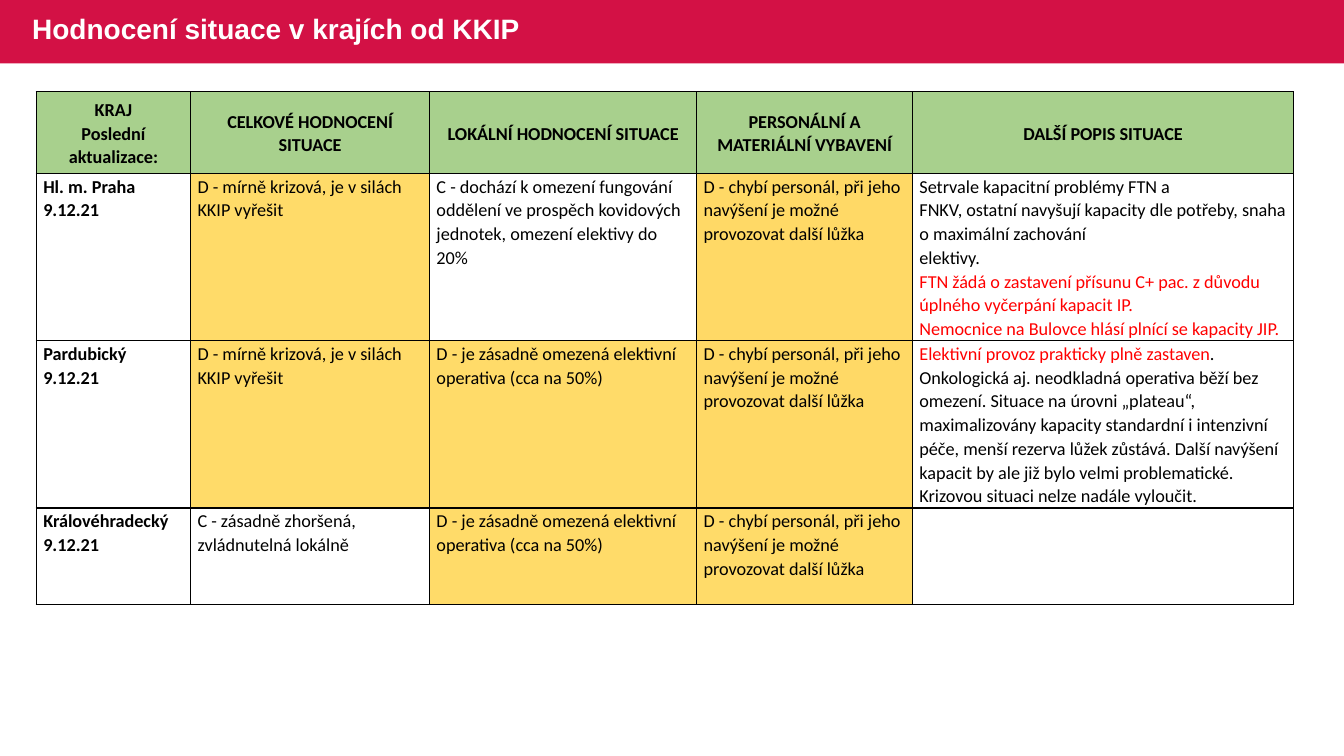
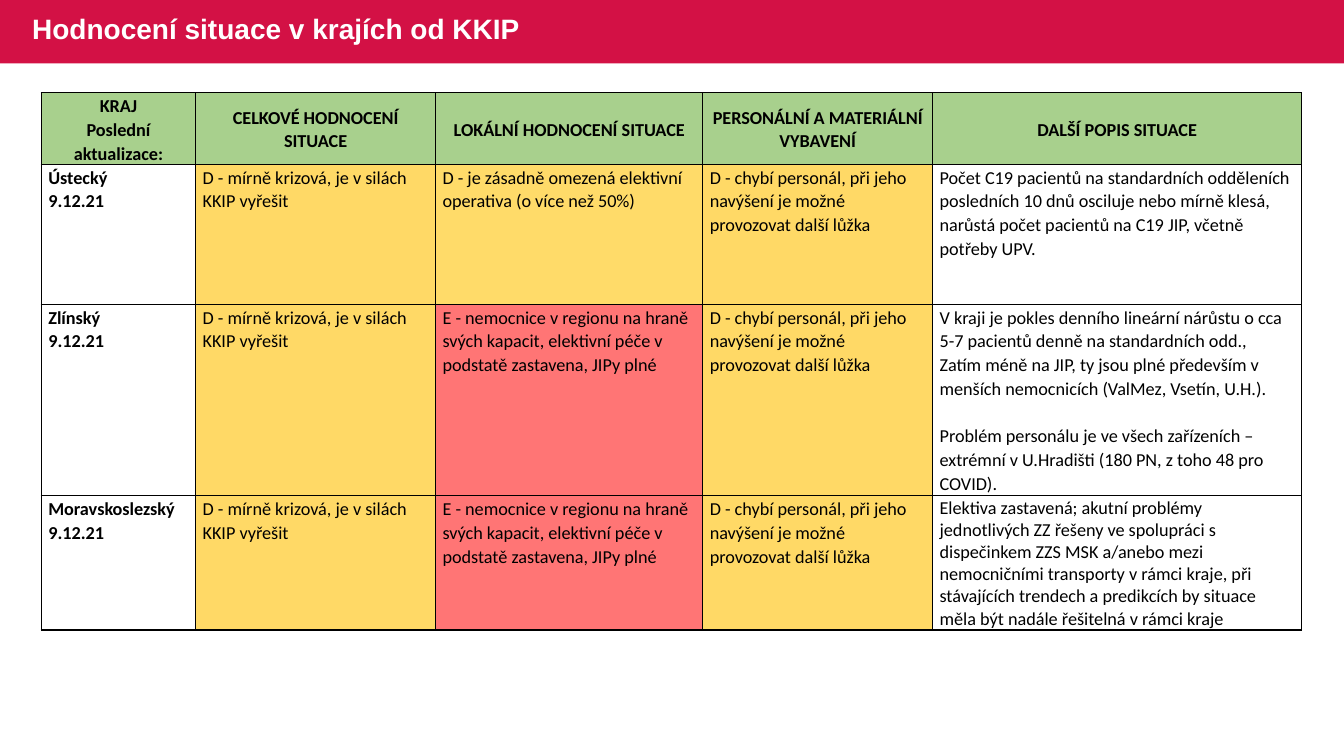
from dataclasses import dataclass

from lxml import etree
from pptx import Presentation
from pptx.dml.color import RGBColor
from pptx.enum.shapes import MSO_SHAPE
from pptx.enum.text import MSO_ANCHOR, PP_ALIGN
from pptx.oxml.ns import qn
from pptx.util import Inches, Pt

RECT = MSO_SHAPE.RECTANGLE
MIDDLE, TOP = MSO_ANCHOR.MIDDLE, MSO_ANCHOR.TOP
CENTER, LEFT = PP_ALIGN.CENTER, PP_ALIGN.LEFT

CRIMSON, WHITE, BLACK, RED = "D31145", "FFFFFF", "000000", "FF0000"
GREEN, AMBER, GOLD, ROSE = "A8D08D", "FFDB69", "FFD966", "FF7575"
TITLE = "Hodnocení situace v krajích od KKIP"


@dataclass
class Para:
    text: str
    color: str = BLACK
    tail: str = ""
    before: float = 0
    lines: float = 1.07


@dataclass
class Cell:
    paras: list[Para]
    fill: str = ""
    head: bool = False
    bold: bool = False


@dataclass
class Grid:
    left: float
    top: float
    widths: list[float]
    heights: list[float]
    rows: list[list[Cell]]


def note(text: str, fill: str = "") -> Cell:
    return Cell([Para(text)], fill)


def place(name: str) -> Cell:
    return Cell([Para(name), Para("9.12.21")], bold=True)


def head(*texts: str) -> Cell:
    return Cell([Para(text) for text in texts], GREEN, head=True, bold=True)


def rgb(color: str) -> RGBColor:
    return RGBColor.from_string(color)


def style(font, name: str, size: float, color: str, bold: bool) -> None:
    font.name, font.size, font.bold = name, Pt(size), bold
    font.color.rgb = rgb(color)


def border(cell) -> None:
    props = cell._tc.get_or_add_tcPr()
    for side in ("lnL", "lnR", "lnT", "lnB"):
        line = etree.SubElement(props, qn(f"a:{side}"), w=str(Pt(1)))
        solid = etree.SubElement(line, qn("a:solidFill"))
        etree.SubElement(solid, qn("a:srgbClr"), val=BLACK)


def write(cell, data: Cell) -> None:
    border(cell)
    if data.fill:
        cell.fill.solid()
        cell.fill.fore_color.rgb = rgb(data.fill)
    else:
        cell.fill.background()
    cell.margin_left = cell.margin_right = Inches(0.07)
    cell.margin_top, cell.margin_bottom = Inches(0.01), Inches(0)
    cell.vertical_anchor = MIDDLE if data.head else TOP
    frame = cell.text_frame
    for i, para in enumerate(data.paras):
        par = frame.add_paragraph() if i else frame.paragraphs[0]
        par.text = para.text
        par.alignment = CENTER if data.head else LEFT
        par.line_spacing = para.lines
        if para.before:
            par.space_before = Pt(para.before)
        style(par.font, "Calibri", 13, para.color, data.bold)
        if para.tail:
            run = par.add_run()
            run.text = para.tail
            run.font.color.rgb = rgb(BLACK)


def banner(slide, width: int) -> None:
    band = slide.shapes.add_shape(RECT, 0, 0, width, Inches(0.63))
    band.shadow.inherit = False
    band.fill.solid()
    band.fill.fore_color.rgb = rgb(CRIMSON)
    band.line.fill.background()
    box = slide.shapes.add_textbox(
        Inches(0.22), Inches(-0.01), Inches(8.14), Inches(0.63))
    frame = box.text_frame
    frame.word_wrap = True
    frame.vertical_anchor = MIDDLE
    par = frame.paragraphs[0]
    par.text = TITLE
    par.line_spacing = 0.9
    style(par.font, "Arial", 20, WHITE, True)


def draw(slide, grid: Grid) -> None:
    table = slide.shapes.add_table(
        len(grid.heights), len(grid.widths), Inches(grid.left), Inches(grid.top),
        Inches(sum(grid.widths)), Inches(sum(grid.heights))).table
    table.first_row = table.horz_banding = False
    for col, width in zip(table.columns, grid.widths):
        col.width = Inches(width)
    for row, height, cells in zip(table.rows, grid.heights, grid.rows):
        row.height = Inches(height)
        for cell, data in zip(row.cells, cells):
            write(cell, data)


HEADS = [
    head("KRAJ", "Poslední aktualizace:"),
    head("CELKOVÉ HODNOCENÍ SITUACE"),
    head("LOKÁLNÍ HODNOCENÍ SITUACE"),
    head("PERSONÁLNÍ A MATERIÁLNÍ VYBAVENÍ"),
    head("DALŠÍ POPIS SITUACE"),
]
MILD = "D - mírně krizová, je v silách KKIP vyřešit"
HALF = note("D - je zásadně omezená elektivní operativa (cca na 50%)", AMBER)
STAFF = "D - chybí personál, při jeho navýšení je možné provozovat další lůžka"
EDGE = note("E - nemocnice v regionu na hraně svých kapacit, elektivní péče "
            "v podstatě zastavena, JIPy plné", ROSE)

GRIDS = [
    Grid(0.36, 0.91, [1.53, 2.37, 2.65, 2.14, 3.78], [0.81, 1.66, 1.66, 0.96], [
        HEADS,
        [
            place("Hl. m. Praha"),
            note(MILD, AMBER),
            note("C - dochází k omezení fungování oddělení ve prospěch "
                 "kovidových jednotek, omezení elektivy do 20%"),
            note(STAFF, GOLD),
            Cell([
                Para("Setrvale kapacitní problémy FTN a\nFNKV, ostatní navyšují "
                     "kapacity dle potřeby, snaha o maximální zachování\nelektivy."),
                Para("FTN žádá o zastavení přísunu C+ pac. z důvodu úplného "
                     "vyčerpání kapacit IP.", RED),
                Para("Nemocnice na Bulovce hlásí plnící se kapacity JIP.", RED),
            ]),
        ],
        [
            place("Pardubický"),
            note(MILD, AMBER),
            HALF,
            note(STAFF, GOLD),
            Cell([Para(
                "Elektivní provoz prakticky plně zastaven", RED,
                ". Onkologická aj. neodkladná operativa běží bez omezení. Situace "
                "na úrovni „plateau“, maximalizovány kapacity standardní i "
                "intenzivní péče, menší rezerva lůžek zůstává. Další navýšení "
                "kapacit by ale již bylo velmi problematické. Krizovou situaci "
                "nelze nadále vyloučit.")]),
        ],
        [
            place("Královéhradecký"),
            note("C - zásadně zhoršená, zvládnutelná lokálně"),
            HALF,
            note(STAFF, AMBER),
            Cell([]),
        ],
    ]),
    Grid(0.41, 0.92, [1.53, 2.38, 2.65, 2.28, 3.66], [0.71, 1.39, 1.9, 1.33], [
        HEADS,
        [
            place("Ústecký"),
            note(MILD, GOLD),
            note("D - je zásadně omezená elektivní operativa (o více než 50%)", AMBER),
            note(STAFF, GOLD),
            note("Počet C19 pacientů na standardních odděleních posledních 10 dnů "
                 "osciluje nebo mírně klesá, narůstá počet pacientů na C19 JIP, "
                 "včetně potřeby UPV."),
        ],
        [
            place("Zlínský"),
            note(MILD, GOLD),
            EDGE,
            note(STAFF, GOLD),
            Cell([
                Para("V kraji je pokles denního lineární nárůstu o cca 5-7 pacientů "
                     "denně na standardních odd.,"),
                Para("Zatím méně na JIP, ty jsou plné především v menších "
                     "nemocnicích (ValMez, Vsetín, U.H.)."),
                Para("Problém personálu je ve všech zařízeních – extrémní "
                     "v U.Hradišti (180 PN, z toho 48 pro COVID).", before=17),
            ]),
        ],
        [
            place("Moravskoslezský"),
            note(MILD, GOLD),
            EDGE,
            note(STAFF, GOLD),
            Cell([Para(
                "Elektiva zastavená; akutní problémy jednotlivých ZZ řešeny ve "
                "spolupráci s dispečinkem ZZS MSK a/anebo mezi nemocničními "
                "transporty v rámci kraje, při stávajících trendech a predikcích "
                "by situace měla být nadále řešitelná v rámci kraje", lines=1)]),
        ],
    ]),
]


def main() -> None:
    deck = Presentation()
    deck.slide_width, deck.slide_height = Inches(13.33), Inches(7.5)
    for grid in GRIDS:
        slide = deck.slides.add_slide(deck.slide_layouts[6])
        banner(slide, deck.slide_width)
        draw(slide, grid)
    deck.save("out.pptx")


if __name__ == "__main__":
    main()
